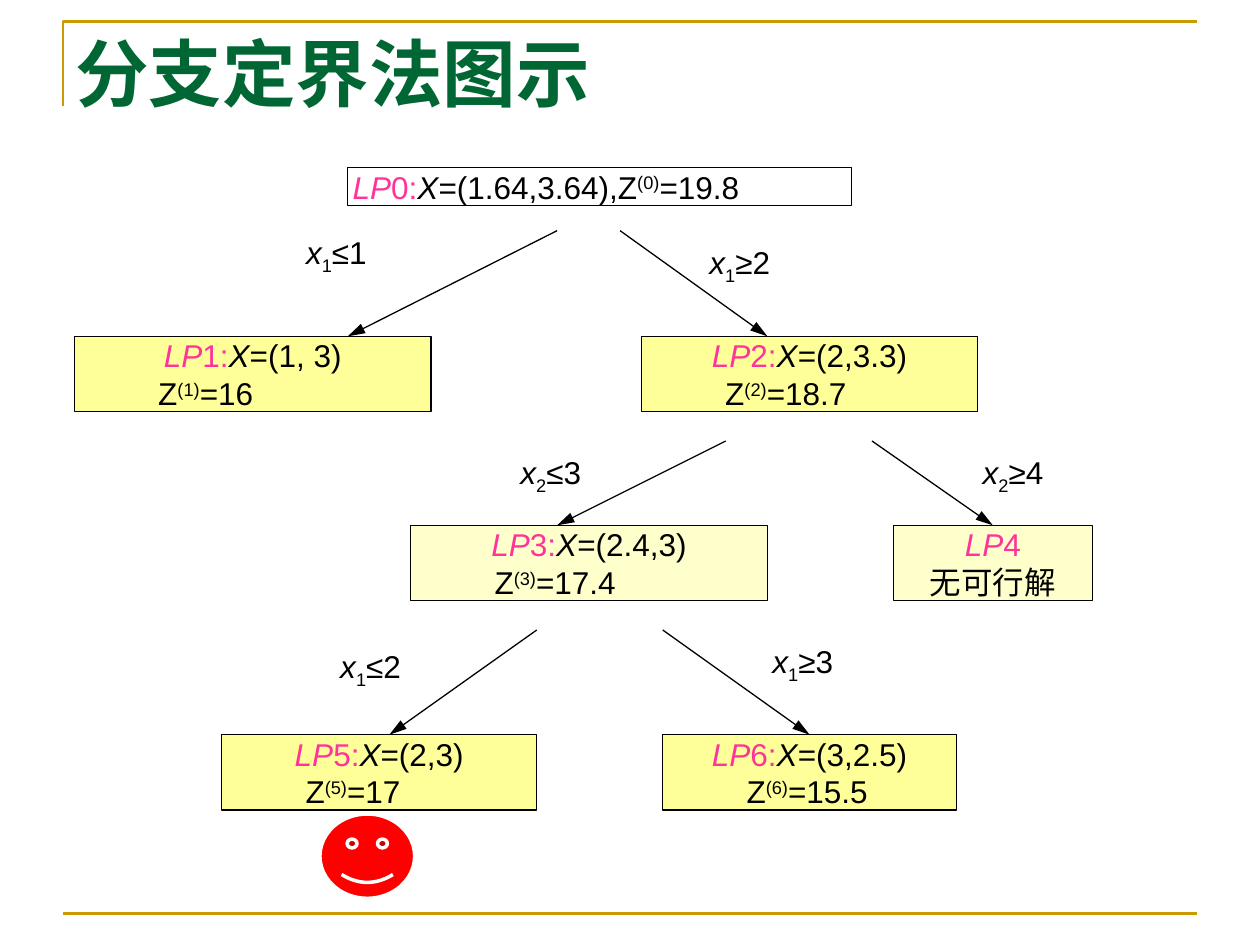
from lxml import etree
from pptx import Presentation
from pptx.dml.color import RGBColor
from pptx.enum.shapes import MSO_CONNECTOR, MSO_SHAPE
from pptx.enum.text import MSO_ANCHOR, PP_ALIGN
from pptx.oxml.ns import qn
from pptx.util import Cm, Pt

LEFT, MID = PP_ALIGN.LEFT, PP_ALIGN.CENTER
TOP, CORE = MSO_ANCHOR.TOP, MSO_ANCHOR.MIDDLE
RECT, SMILE = MSO_SHAPE.RECTANGLE, MSO_SHAPE.SMILEY_FACE
LINE = MSO_CONNECTOR.STRAIGHT
BLACK, WHITE, RED = "000000", "FFFFFF", "FF0000"
PINK, GOLD, GREEN = "FF3399", "CC9900", "006633"
YELLOW, CREAM = "FFFF99", "FFFFCC"
SUPER, SUB = 30, -25
INDENT = Cm(1.59)
ROWS = (6.78, 10.59, 14.81)
STARTS = (4.65, 8.89, 12.7)


def color(code):
    return RGBColor.from_string(code)


class Tree:
    """Style and current slide of a branch and bound tree."""

    def __init__(self, slide, font="Arial", size=18):
        self.shapes = slide.shapes
        self.font = font
        self.size = size

    def pen(self, item, code, width):
        item.line.color.rgb = color(code)
        item.line.width = Pt(width)

    def run(self, para, text, code=BLACK, italic=False, base=0):
        run = para.add_run()
        run.text = text
        font = run.font
        font.name, font.size = self.font, Pt(self.size)
        font.italic = italic
        font.color.rgb = color(code)
        if base:
            run._r.get_or_add_rPr().set("baseline", str(base * 1000))
        return run

    def pad(self, frame, side, edge, anchor=TOP):
        frame.margin_left = frame.margin_right = Cm(side)
        frame.margin_top = frame.margin_bottom = Cm(edge)
        frame.vertical_anchor = anchor

    def title(self, text):
        box = self.shapes.add_textbox(Cm(1.27), Cm(0.43), Cm(22.86), Cm(2.54))
        frame = box.text_frame
        frame.word_wrap = True
        self.pad(frame, 0.25, 0.13)
        font = self.run(frame.paragraphs[0], text, GREEN).font
        font.name, font.size, font.bold = "Times New Roman", Pt(42), True

    def shape(self, kind, x, y, w, h, fill, edge, width):
        item = self.shapes.add_shape(kind, Cm(x), Cm(y), Cm(w), Cm(h))
        item.shadow.inherit = False
        item.fill.solid()
        item.fill.fore_color.rgb = color(fill)
        self.pen(item, edge, width)
        return item

    def node(self, x, y, w, h, fill, lines):
        item = self.shape(RECT, x, y, w, h, fill, BLACK, 0.75)
        frame = item.text_frame
        frame.word_wrap = True
        self.pad(frame, 0.1, 0, CORE)
        for i, (align, indent, runs) in enumerate(lines):
            para = frame.add_paragraph() if i else frame.paragraphs[0]
            para.alignment = align
            if indent:
                para._p.get_or_add_pPr().set("marL", str(indent))
            for run in runs:
                self.run(para, *run)
        return item

    def label(self, x, y, index, bound):
        box = self.shapes.add_textbox(Cm(x), Cm(y), Cm(2.24), Cm(1.37))
        frame = box.text_frame
        frame.word_wrap = True
        self.pad(frame, 0.51, 0.25)
        frame.margin_right = 0
        para = frame.paragraphs[0]
        self.run(para, "x", italic=True)
        self.run(para, index, base=SUB)
        self.run(para, bound)

    def line(self, x1, y1, x2, y2, code=BLACK, width=0.75, head=False, goal=None):
        item = self.shapes.add_connector(LINE, Cm(x1), Cm(y1), Cm(x2), Cm(y2))
        self.pen(item, code, width)
        if head:
            etree.SubElement(item.line._get_or_add_ln(), qn("a:tailEnd"),
                             type="triangle", w="med", len="lg")
        etree.SubElement(item._element.spPr, qn("a:effectLst"))
        if goal is not None:
            item.end_connect(goal, 0)

    def corner(self, x, y, right, low):
        pen = self.shapes.build_freeform(Cm(x), Cm(low), scale=1.0)
        pen.add_line_segments([(Cm(x), Cm(y)), (Cm(right), Cm(y))], close=False)
        item = pen.convert_to_shape()
        item.shadow.inherit = False
        item.fill.background()
        self.pen(item, GOLD, 1.5)


def head(num, value):
    return [("LP", PINK, True), (num + ":", PINK), ("X", BLACK, True), ("=" + value,)]


def score(num, value):
    return [(f"({num})", BLACK, False, SUPER), ("=" + value,)]


def main():
    deck = Presentation()
    deck.slide_width, deck.slide_height = Cm(25.4), Cm(19.05)
    tree = Tree(deck.slides.add_slide(deck.slide_layouts[6]))

    tree.corner(1.27, 0.43, 24.13, 2.13)
    tree.line(1.27, 18.42, 24.13, 18.42, GOLD, 1.5)
    tree.title("分支定界法图示")

    root = head("0", "(1.64,3.64),Z") + score("0", "19.8")
    tree.node(7.01, 3.38, 10.16, 0.76, WHITE, [(LEFT, 0, root)])

    nodes = {}
    for num, x, row, w, fill, point, value in (
        ("1", 1.5, 0, 7.19, YELLOW, "(1, 3)", "16"),
        ("2", 12.93, 0, 6.78, YELLOW, "(2,3.3)", "18.7"),
        ("3", 8.28, 1, 7.19, CREAM, "(2.4,3)", "17.4"),
        ("5", 4.47, 2, 6.35, YELLOW, "(2,3)", "17"),
        ("6", 13.36, 2, 5.92, YELLOW, "(3,2.5)", "15.5"),
    ):
        lines = [(MID, 0, head(num, point)),
                 (LEFT, INDENT, [("Z",)] + score(num, value))]
        nodes[num] = tree.node(x, ROWS[row], w, 1.52, fill, lines)
    nodes["4"] = tree.node(18.01, ROWS[1], 4.01, 1.52, CREAM, [
        (MID, 0, [("LP", PINK, True), ("4", PINK)]),
        (MID, 0, [("无可行解",)]),
    ])

    for row, x1, x2, goal in (
        (0, 11.23, 7.01, None), (0, 12.5, 15.47, None),
        (1, 14.63, 11.23, None), (1, 17.58, 20.12, "4"),
        (2, 10.82, 7.85, None), (2, 13.36, 16.31, "6"),
    ):
        tree.line(x1, STARTS[row], x2, ROWS[row], head=True, goal=nodes.get(goal))

    for x, y, index, bound in (
        (5.66, 4.45, "1", "≤1"), (13.79, 4.65, "1", "≥2"),
        (9.98, 8.89, "2", "≤3"), (19.3, 8.89, "2", "≥4"),
        (6.35, 12.8, "1", "≤2"), (15.06, 12.7, "1", "≥3"),
    ):
        tree.label(x, y, index, bound)

    tree.shape(SMILE, 6.45, 16.41, 1.91, 1.7, RED, WHITE, 2)
    deck.save("out.pptx")


if __name__ == "__main__":
    main()
